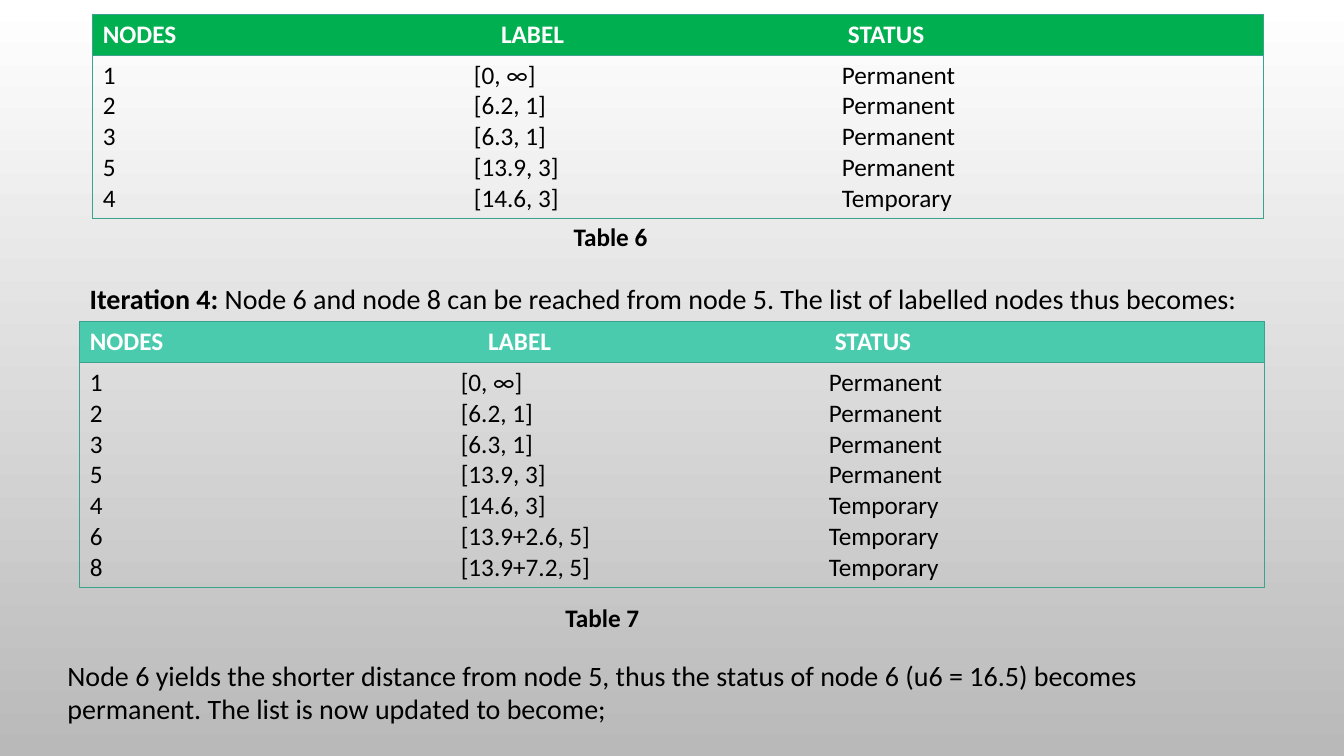
from lxml.etree import SubElement
from pptx import Presentation
from pptx.dml.color import RGBColor
from pptx.oxml import parse_xml
from pptx.oxml.ns import nsdecls, qn
from pptx.util import Inches, Pt

COLORS = {"black": "000000", "white": "FFFFFF", "grey": "B9B9B9",
          "green": "00B050", "teal": "4BCBAE", "border": "3CA28B"}
FONT = "Calibri"

HEADER = ("NODES", "LABEL", "STATUS")
TABLE_6_ROWS = [
    ("1", "[0, ∞]", "Permanent"),
    ("2", "[6.2, 1]", "Permanent"),
    ("3", "[6.3, 1]", "Permanent"),
    ("5", "[13.9, 3]", "Permanent"),
    ("4", "[14.6, 3]", "Temporary"),
]
TABLE_7_ROWS = TABLE_6_ROWS + [
    ("6", "[13.9+2.6, 5]", "Temporary"),
    ("8", "[13.9+7.2, 5]", "Temporary"),
]
HEADER_TABS = (3.95, 7.39)
BODY_TABS = (3.68, 7.33)
HEADER_HEIGHT, LINE_HEIGHT, CELL_MARGIN = 0.4, 0.3, 0.1

# left, top, width, header colour, rows
TABLES = [
    (0.92, 0.14, 11.61, "green", TABLE_6_ROWS),
    (0.79, 3.19, 11.75, "teal", TABLE_7_ROWS),
]
# left, top, width, height, size, (text, bold) runs
TEXTS = [
    (5.59, 2.15, 1.13, 0.4, 18, [("Table 6", True)]),
    (0.79, 2.74, 11.75, 0.44, 20, [
        ("Iteration 4:", True),
        (" Node 6 and node 8 can be reached from node 5. "
         "The list of labelled nodes thus becomes:", False)]),
    (5.51, 5.93, 1.06, 0.4, 18, [("Table 7", True)]),
    (0.57, 6.48, 11.41, 0.77, 20, [
        ("Node 6 yields the shorter distance from node 5, thus the status of "
         "node 6 (u6 = 16.5) becomes permanent. "
         "The list is now updated to become;", False)]),
]


def rgb(name):
    return RGBColor.from_string(COLORS[name])


def add_run(p, text, size, bold, color="black"):
    r = p.add_run()
    r.text = text
    for name, value in {"name": FONT, "size": Pt(size), "bold": bold}.items():
        setattr(r.font, name, value)
    r.font.color.rgb = rgb(color)


def add_tab_stops(p, stops):
    tabs = SubElement(p._p.get_or_add_pPr(), qn("a:tabLst"))
    for stop in stops:
        SubElement(tabs, qn("a:tab"), pos=str(Inches(stop)), algn="l")


def add_borders(cell):
    """Draw a thin line on all four sides; lines must precede the cell fill."""
    tcPr = cell._tc.get_or_add_tcPr()
    for i, side in enumerate("LRTB"):
        tcPr.insert(i, parse_xml(
            f'<a:ln{side} {nsdecls("a")} w="{Pt(0.75)}"><a:solidFill>'
            f'<a:srgbClr val="{COLORS["border"]}"/></a:solidFill></a:ln{side}>'))


def fill_cell(cell, rows, stops, bold, color):
    """Write each row as one paragraph, its columns set by tab stops."""
    tf = cell.text_frame
    for i, row in enumerate(rows):
        p = tf.add_paragraph() if i else tf.paragraphs[0]
        add_tab_stops(p, stops)
        add_run(p, "\t".join(row), 18, bold, color)
    add_borders(cell)


def add_node_table(s, left, top, width, header_color, rows):
    body_height = len(rows) * LINE_HEIGHT + CELL_MARGIN
    table = s.shapes.add_table(
        2, 1, Inches(left), Inches(top), Inches(width),
        Inches(HEADER_HEIGHT + body_height)).table
    table.horz_banding = False
    for row, height in zip(table.rows, (HEADER_HEIGHT, body_height)):
        row.height = Inches(height)
    header, body = table.cell(0, 0), table.cell(1, 0)
    header.fill.solid()
    header.fill.fore_color.rgb = rgb(header_color)
    body.fill.background()
    fill_cell(header, [HEADER], HEADER_TABS, True, "white")
    fill_cell(body, rows, BODY_TABS, False, "black")


def add_text(s, left, top, width, height, size, runs):
    box = s.shapes.add_textbox(*map(Inches, (left, top, width, height)))
    tf = box.text_frame
    tf.word_wrap = True
    for text, bold in runs:
        add_run(tf.paragraphs[0], text, size, bold)


def set_background(s):
    fill = s.background.fill
    fill.gradient()
    fill.gradient_angle = 270
    for stop, position, color in zip(fill.gradient_stops, (0, 1), ("white", "grey")):
        stop.position = position
        stop.color.rgb = rgb(color)


def main():
    prs = Presentation()
    prs.slide_width, prs.slide_height = Inches(13.33), Inches(7.5)
    s = prs.slides.add_slide(prs.slide_layouts[6])
    set_background(s)
    for table in TABLES:
        add_node_table(s, *table)
    for text in TEXTS:
        add_text(s, *text)
    prs.save("out.pptx")


if __name__ == "__main__":
    main()
